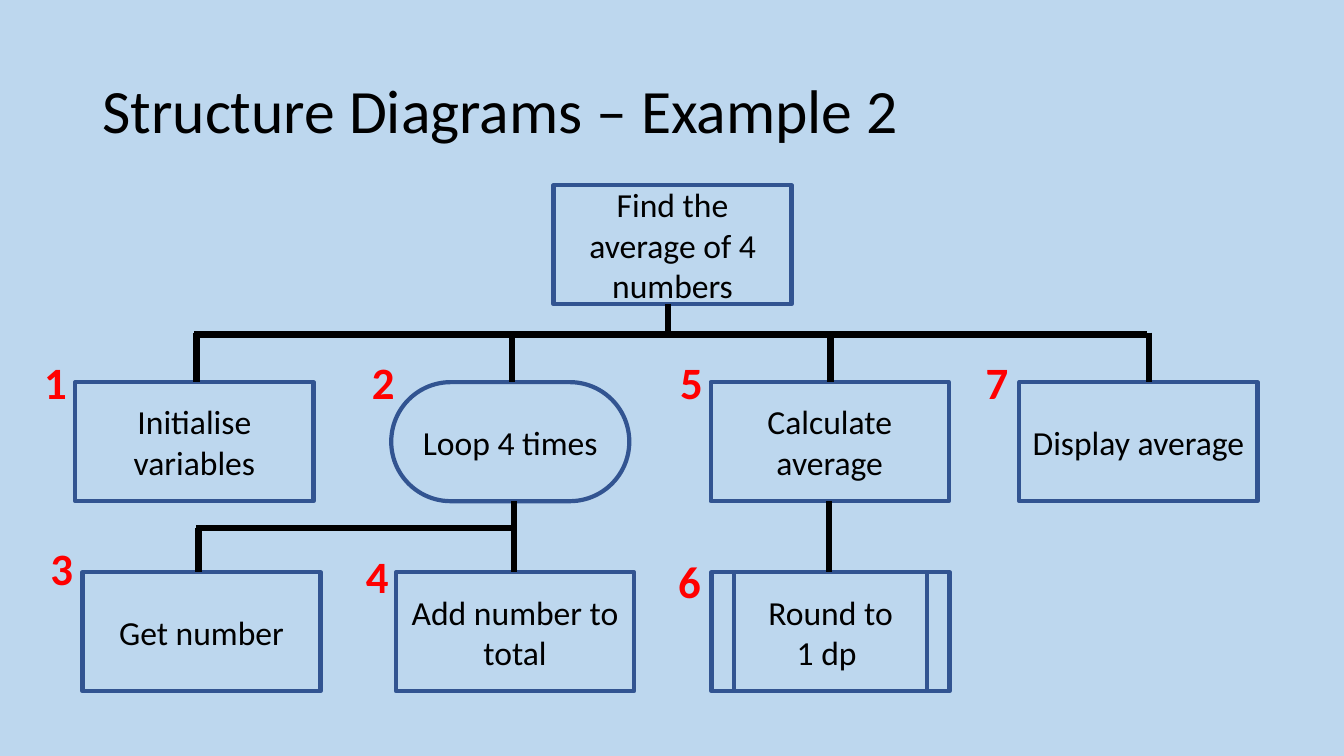
from lxml import etree
from pptx import Presentation
from pptx.dml.color import RGBColor
from pptx.enum.shapes import MSO_CONNECTOR, MSO_SHAPE
from pptx.enum.text import MSO_ANCHOR, MSO_AUTO_SIZE, PP_ALIGN
from pptx.oxml.ns import qn
from pptx.util import Cm, Pt

RECTANGLE = MSO_SHAPE.RECTANGLE
ROUNDED = MSO_SHAPE.ROUNDED_RECTANGLE
STRAIGHT = MSO_CONNECTOR.STRAIGHT
MIDDLE, TOP = MSO_ANCHOR.MIDDLE, MSO_ANCHOR.TOP
CENTER, LEFT = PP_ALIGN.CENTER, PP_ALIGN.LEFT
FIT_SHAPE, NO_FIT = MSO_AUTO_SIZE.SHAPE_TO_FIT_TEXT, MSO_AUTO_SIZE.NONE

BLACK, RED, BORDER, BACKGROUND = "000000", "FF0000", "325491", "BDD7EE"
BOX_WIDTH, BOX_HEIGHT, BAR_INSET = 6, 3, 0.56


def color(value):
    return RGBColor.from_string(value)


def apply_format(target, values):
    for name, value in values.items():
        setattr(target, name, value)


class StructureDiagram:
    """Draws the parts of a structure diagram on one slide."""

    title_font = {"name": "Calibri", "size": Pt(44), "bold": False}
    box_font = {"name": "Calibri", "size": Pt(24), "bold": False}
    number_font = {"name": "Calibri", "size": Pt(32), "bold": True}
    centered_frame = {"word_wrap": True, "vertical_anchor": MIDDLE}
    title_frame = {"word_wrap": True, "vertical_anchor": MIDDLE, "auto_size": NO_FIT}
    number_frame = {"word_wrap": False, "vertical_anchor": TOP, "auto_size": FIT_SHAPE}

    def __init__(self, slide):
        self.slide = slide
        fill = slide.background.fill
        fill.solid()
        fill.fore_color.rgb = color(BACKGROUND)

    def set_text(self, shape, text, frame_format, font_format, ink, paragraph_format):
        frame = shape.text_frame
        frame.text = text
        apply_format(frame, frame_format)
        for paragraph in frame.paragraphs:
            apply_format(paragraph, paragraph_format)
            for run in paragraph.runs:
                apply_format(run.font, font_format)
                run.font.color.rgb = color(ink)

    def title(self, text, left, top, width, height):
        shape = self.slide.shapes.add_textbox(Cm(left), Cm(top), Cm(width), Cm(height))
        self.set_text(shape, text, self.title_frame, self.title_font, BLACK,
                      {"alignment": LEFT, "line_spacing": 0.9})

    def number(self, text, left, top):
        shape = self.slide.shapes.add_textbox(Cm(left), Cm(top), Cm(1.09), Cm(1.63))
        self.set_text(shape, text, self.number_frame, self.number_font, RED,
                      {"alignment": LEFT})

    def outline(self, shape, text):
        shape.shadow.inherit = False
        shape.fill.background()
        shape.line.color.rgb = color(BORDER)
        shape.line.width = Pt(3)
        self.set_text(shape, text, self.centered_frame, self.box_font, BLACK,
                      {"alignment": CENTER})

    def box(self, text, left, top, kind=RECTANGLE):
        shape = self.slide.shapes.add_shape(
            kind, Cm(left), Cm(top), Cm(BOX_WIDTH), Cm(BOX_HEIGHT))
        if kind == ROUNDED:
            shape.adjustments[0] = 0.5
        self.outline(shape, text)

    def predefined_process(self, text, left, top):
        right, bottom = left + BOX_WIDTH, top + BOX_HEIGHT
        builder = self.slide.shapes.build_freeform(Cm(left), Cm(top))
        corners = [(right, top), (right, bottom), (left, bottom)]
        builder.add_line_segments([(Cm(x), Cm(y)) for x, y in corners], close=True)
        self.outline(builder.convert_to_shape(), text)
        for x in (left + BAR_INSET, right - BAR_INSET):
            self.line(x, top, x, bottom, BORDER, 3)

    def line(self, x1, y1, x2, y2, ink=BLACK, width=4.5):
        connector = self.slide.shapes.add_connector(
            STRAIGHT, Cm(x1), Cm(y1), Cm(x2), Cm(y2))
        connector.line.color.rgb = color(ink)
        connector.line.width = Pt(width)
        etree.SubElement(connector._element.spPr, qn("a:effectLst"))


def main():
    presentation = Presentation()
    presentation.slide_width, presentation.slide_height = Cm(33.87), Cm(19.05)
    slide = presentation.slides.add_slide(presentation.slide_layouts[6])
    diagram = StructureDiagram(slide)

    diagram.title("Structure Diagrams – Example 2", 2.33, 1.01, 29.21, 3.68)

    # Boxes, level by level
    step_top, substep_top = 9.63, 14.42
    diagram.box("Find the average of 4 numbers", 13.95, 4.67)
    diagram.box("Initialise variables", 1.9, step_top)
    diagram.box("Loop 4 times", 9.86, step_top, ROUNDED)
    diagram.box("Calculate average", 17.91, step_top)
    diagram.box("Display average", 25.69, step_top)
    diagram.box("Get number", 2.08, substep_top)
    diagram.box("Add number to total", 9.98, substep_top)
    diagram.predefined_process("Round to\n1 dp ", 17.93, substep_top)

    # Lines from the root to the steps
    step_bus = 8.43
    diagram.line(16.84, 7.67, 16.84, step_bus)
    diagram.line(4.9, step_bus, 28.91, step_bus)
    for x in (4.95, 12.9, 20.93, 28.96):
        diagram.line(x, step_bus - 0.05, x, step_top)

    # Lines from the steps to their substeps
    substep_bus = 13.3
    for x in (12.95, 20.9):
        diagram.line(x, step_top + BOX_HEIGHT, x, substep_top)
    diagram.line(4.95, substep_bus, 12.95, substep_bus)
    diagram.line(5, substep_bus, 5, substep_top)

    # Step numbers in order
    number_places = [(0.86, 8.81), (9.12, 8.81), (1.02, 13.51), (8.97, 13.69),
                     (16.89, 8.81), (16.84, 13.84), (24.59, 8.81)]
    for number, (left, top) in enumerate(number_places, start=1):
        diagram.number(str(number), left, top)

    presentation.save("out.pptx")


if __name__ == "__main__":
    main()
